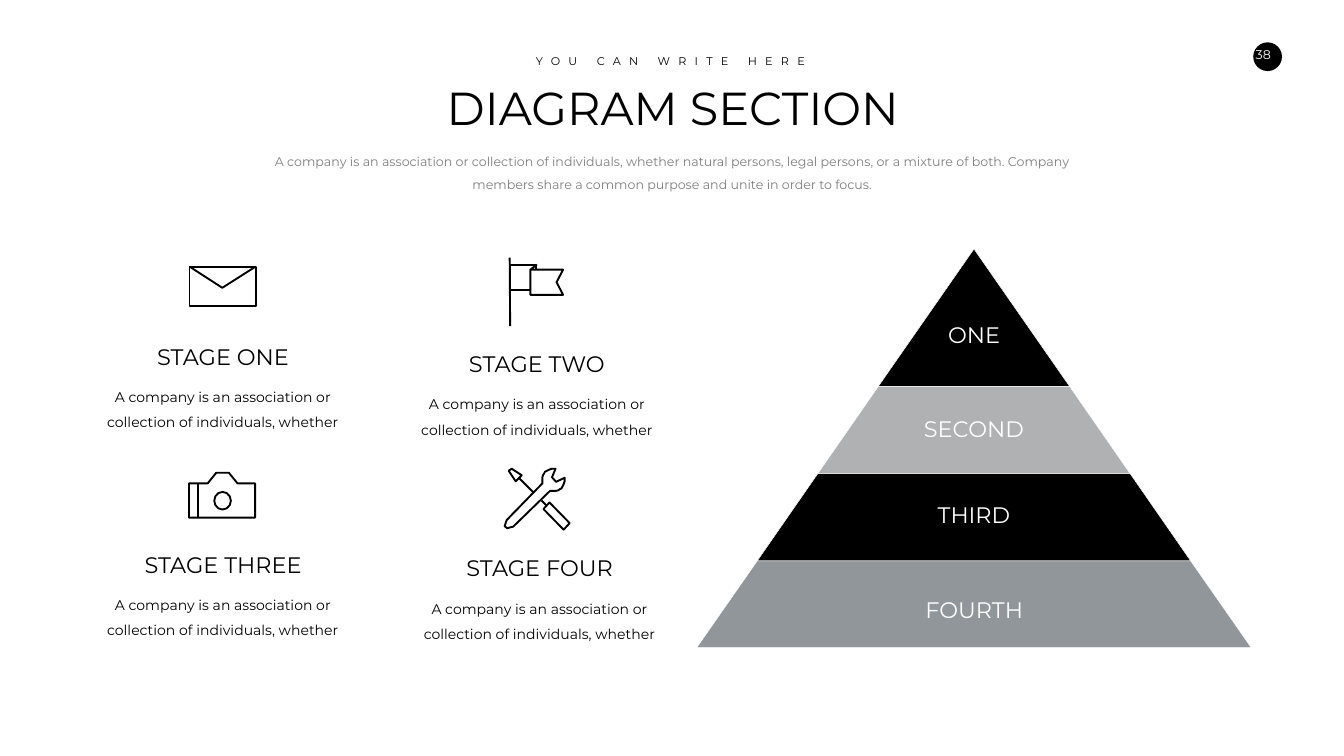
from dataclasses import dataclass

from lxml.etree import SubElement
from pptx import Presentation
from pptx.dml.color import RGBColor
from pptx.enum.shapes import MSO_CONNECTOR as CONN, MSO_SHAPE as SHAPE
from pptx.enum.text import MSO_ANCHOR as ANCHOR, MSO_AUTO_SIZE as AUTOSIZE, PP_ALIGN as ALIGN
from pptx.oxml.ns import qn
from pptx.util import Emu, Pt

PX = 9144  # one px is a hundredth of an inch
FONT = "Montserrat"
BLACK, WHITE, GREY = "000000", "FFFFFF", "7F7F7F"
STAGE_TEXT = "A company is an association or collection of individuals, whether"
APEX_X, APEX_Y = 1932, 494
PYRAMID_HALF, PYRAMID_H = 550, 791

Point = tuple[int, int]
Stroke = list[Point]


@dataclass
class Stage:
    title: str
    center: int
    top: int
    title_w: int
    strokes: list[Stroke]
    lens: tuple[int, int, int, int] | None = None


@dataclass
class Tier:
    label: str
    top: int
    bottom: int
    fill: str
    label_top: int
    label_w: int


def px(n: int) -> Emu:
    return Emu(n * PX)


def color(hex_code: str) -> RGBColor:
    return RGBColor.from_string(hex_code)


def bezier(a: Point, b: Point, c: Point, d: Point, steps: int = 8) -> Stroke:
    """Points along a cubic curve from a to d."""
    def at(t: float, i: int) -> int:
        u = 1 - t
        return round(u**3 * a[i] + 3 * u * u * t * b[i] + 3 * u * t * t * c[i] + t**3 * d[i])
    return [(at(k / steps, 0), at(k / steps, 1)) for k in range(steps + 1)]


def set_text(sp, text: str, *, size: int, fill: str = BLACK, line_spacing: float | None = None,
             tracking: int = 0, insets: tuple[int, int, int, int] = (10, 5, 10, 5)) -> None:
    tf = sp.text_frame
    tf.word_wrap = True
    tf.auto_size = AUTOSIZE.NONE
    tf.vertical_anchor = ANCHOR.TOP
    tf.margin_left, tf.margin_top, tf.margin_right, tf.margin_bottom = map(px, insets)
    p = tf.paragraphs[0]
    p.alignment = ALIGN.CENTER
    if line_spacing:
        p.line_spacing = line_spacing
    r = p.add_run()
    r.text = text
    r.font.name, r.font.size = FONT, Pt(size)
    r.font.color.rgb = color(fill)
    if tracking:  # letter spacing in hundredths of a point
        r.font._element.set("spc", str(tracking))


def add_text(shapes, text: str, x: int, y: int, w: int, h: int, **fmt) -> None:
    set_text(shapes.add_textbox(px(x), px(y), px(w), px(h)), text, **fmt)


def style(sp, fill: str | None, line: str | None, width: float = 0.75) -> None:
    sp.shadow.inherit = False
    if fill:
        sp.fill.solid()
        sp.fill.fore_color.rgb = color(fill)
    else:
        sp.fill.background()
    if line:
        sp.line.color.rgb = color(line)
        sp.line.width = Pt(width)
    else:
        sp.line.fill.background()


def add_outline(shapes, points: Stroke, fill: str | None, line: str, width: float) -> None:
    builder = shapes.build_freeform(*points[0], scale=PX)
    builder.add_line_segments(points[1:], close=points[0] == points[-1])
    style(builder.convert_to_shape(), fill, line, width)


def add_stroke(shapes, points: Stroke) -> None:
    if len(points) > 2:
        add_outline(shapes, points, None, BLACK, 2.7)
        return
    (x1, y1), (x2, y2) = points
    c = shapes.add_connector(CONN.STRAIGHT, px(x1), px(y1), px(x2), px(y2))
    c.line.color.rgb = color(BLACK)
    c.line.width = Pt(2.7)
    SubElement(c._element.spPr, qn("a:effectLst"))


def draw_stage(shapes, s: Stage) -> None:
    icon = shapes.add_group_shape().shapes
    for stroke in s.strokes:
        add_stroke(icon, stroke)
    if s.lens:
        style(icon.add_shape(SHAPE.OVAL, *map(px, s.lens)), None, BLACK, 2.7)
    add_text(shapes, STAGE_TEXT, s.center - 241, s.top + 74, 482, 95, size=20, line_spacing=1.5)
    add_text(shapes, s.title, s.center - s.title_w // 2, s.top, s.title_w, 64, size=32)


def draw_tier(shapes, t: Tier) -> None:
    a, b = (round((y - APEX_Y) * PYRAMID_HALF / PYRAMID_H) for y in (t.top, t.bottom))
    corners = [(APEX_X - b, t.bottom), (APEX_X - a, t.top), (APEX_X + a, t.top),
               (APEX_X + b, t.bottom), (APEX_X - b, t.bottom)]
    add_outline(shapes, corners, t.fill, WHITE, 0.75)


ENVELOPE = [
    [(507, 607), (376, 607), (376, 529), (507, 529), (507, 607)],
    [(376, 529), (441, 571), (507, 529)],
]
FLAG = [
    [(1011, 511), (1012, 647)],
    [(1065, 525), (1052, 535), (1052, 585), (1117, 585), (1104, 560), (1117, 535), (1052, 535)],
    [(1052, 575), (1011, 575), (1011, 525), (1064, 525), (1064, 535)],
]
CAMERA = [
    [(471, 959), (454, 938), (429, 938), (412, 959), (375, 959), (375, 1027),
     (506, 1027), (506, 959), (471, 959)],
    [(392, 959), (392, 1028)],
]
WRENCH = [
    (1120, 948), (1103, 956), (1095, 947),
    *bezier((1102, 930), (1081, 930), (1076, 940), (1076, 951)),
    (1076, 959), (1005, 1032), (1001, 1044), (1006, 1048), (1018, 1045), (1091, 974),
    *bezier((1099, 974), (1110, 974), (1120, 969), (1120, 948)),
]
TOOLS = [
    [(1074, 993), (1084, 1003)],
    [(1078, 1010), (1090, 997), (1130, 1038), (1118, 1051), (1078, 1010)],
    [(1023, 955), (1035, 943), (1015, 930), (1009, 934), (1023, 955)],
    [(1058, 977), (1029, 948)],
    WRENCH,
]

STAGES = [
    Stage("STAGE TWO", 1065, 690, 366, FLAG),
    Stage("STAGE ONE", 442, 675, 359, ENVELOPE),
    Stage("STAGE THREE", 442, 1088, 427, CAMERA, lens=(425, 976, 33, 35)),
    Stage("STAGE FOUR", 1070, 1095, 395, TOOLS),
]
TIERS = [
    Tier("ONE", 494, 767, BLACK, 632, 147),
    Tier("SECOND", 767, 940, "B0B1B3", 819, 266),
    Tier("THIRD", 940, 1113, BLACK, 990, 204),
    Tier("FOURTH", 1113, 1285, "91969B", 1177, 261),
]


def main() -> None:
    prs = Presentation()
    prs.slide_width, prs.slide_height = px(2666), px(1500)
    slide = prs.slides.add_slide(prs.slide_layouts[5])
    shapes = slide.shapes

    # Page number badge
    style(shapes.add_shape(SHAPE.OVAL, px(2486), px(84), px(57), px(57)), BLACK, None)
    add_text(shapes, "38", 2470, 84, 86, 50, size=18, fill=WHITE, insets=(10, 10, 24, 10))

    # Heading
    title = shapes.title
    title.left, title.top, title.width, title.height = map(px, (814, 152, 1041, 121))
    set_text(title, "DIAGRAM SECTION", size=66)
    add_text(shapes, "YOU CAN WRITE HERE", 1041, 102, 578, 37, size=16, tracking=1185)
    add_text(shapes, "A company is an association or collection of individuals, whether natural "
             "persons, legal persons, or a mixture of both. Company members share a common "
             "purpose and unite in order to focus.",
             532, 286, 1603, 101, size=18, fill=GREY, line_spacing=1.5)

    # Pyramid, stages, then pyramid labels
    for tier in TIERS:
        draw_tier(shapes, tier)
    for stage in STAGES:
        draw_stage(shapes, stage)
    for tier in TIERS:
        add_text(shapes, tier.label, APEX_X - tier.label_w // 2, tier.label_top,
                 tier.label_w, 64, size=32, fill=WHITE)

    prs.save("out.pptx")


if __name__ == "__main__":
    main()
